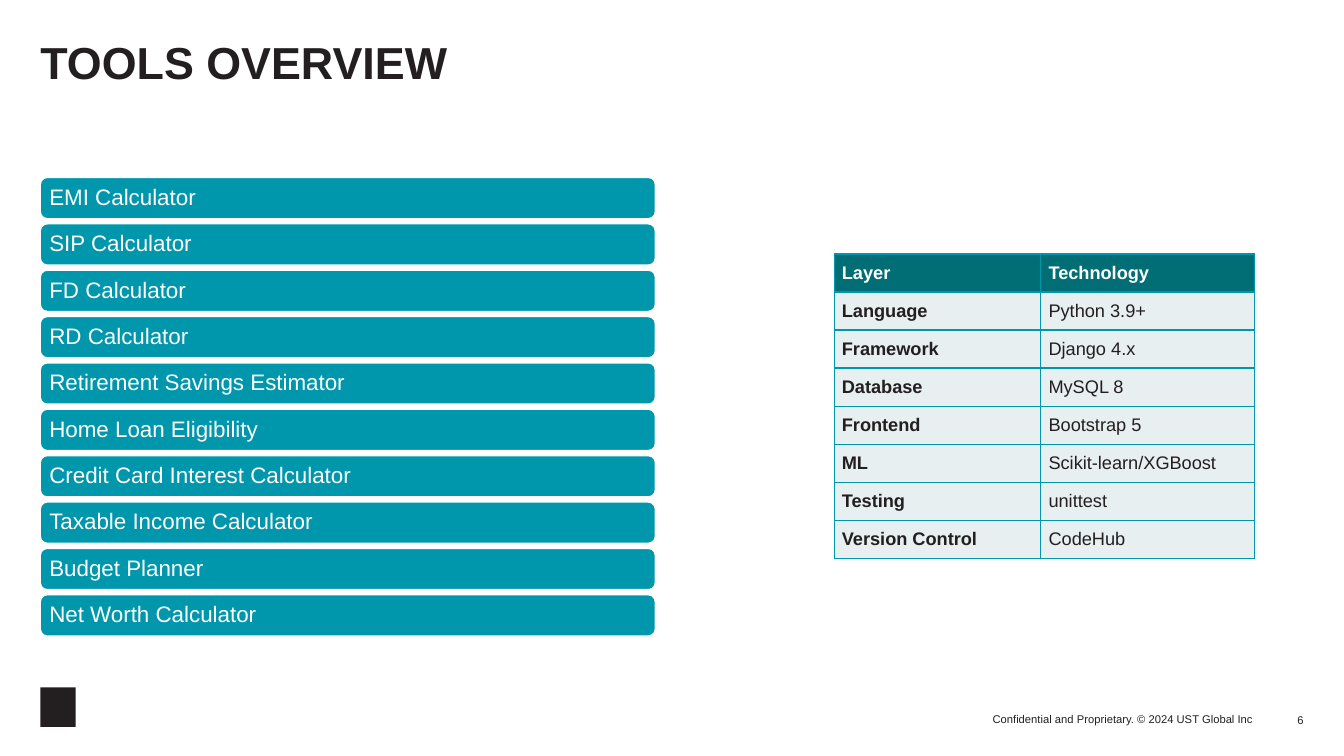
from lxml.etree import SubElement
from pptx import Presentation
from pptx.dml.color import RGBColor
from pptx.enum.shapes import MSO_SHAPE as Shape
from pptx.enum.text import MSO_ANCHOR as Anchor, MSO_AUTO_SIZE as AutoSize, PP_ALIGN as Align
from pptx.oxml.ns import qn
from pptx.util import Inches, Pt

COLORS = {
    "ink": "231F20",
    "white": "FFFFFF",
    "teal": "0097AC",
    "header": "006E74",
    "row": "E7EFF1",
}
LEFT = 0.4
RIGHT = 12.93
BAR_TOP, BAR_STEP, BAR_W, BAR_H = 1.76, 0.46, 6.1, 0.41
TABLE_X, TABLE_Y, TABLE_H = 8.28, 2.52, 3.02
COLUMNS = [2.04, 2.12]

TOOLS = [
    "EMI Calculator",
    "SIP Calculator",
    "FD Calculator",
    "RD Calculator",
    "Retirement Savings Estimator",
    "Home Loan Eligibility",
    "Credit Card Interest Calculator",
    "Taxable Income Calculator",
    "Budget Planner",
    "Net Worth Calculator",
]
STACK = [
    ("Layer", "Technology"),
    ("Language", "Python 3.9+"),
    ("Framework", "Django 4.x"),
    ("Database", "MySQL 8"),
    ("Frontend", "Bootstrap 5"),
    ("ML", "Scikit-learn/XGBoost"),
    ("Testing", "unittest"),
    ("Version Control", "CodeHub"),
]


def rgb(name):
    return RGBColor.from_string(COLORS[name])


def write(tf, text, size, color="ink", bold=False, align=Align.LEFT,
          anchor=Anchor.MIDDLE, insets=(0, 0, 0, 0), spacing=None, wrap=True):
    tf.word_wrap = wrap
    tf.auto_size = AutoSize.NONE
    tf.vertical_anchor = anchor
    tf.margin_left, tf.margin_top, tf.margin_right, tf.margin_bottom = map(Inches, insets)
    p = tf.paragraphs[0]
    p.alignment = align
    p.line_spacing = spacing
    r = p.add_run()
    r.text = text
    r.font.name = "Arial"
    r.font.size = Pt(size)
    r.font.bold = bold
    r.font.color.rgb = rgb(color)


prs = Presentation()
prs.slide_width, prs.slide_height = Inches(13.33), Inches(7.5)
s = prs.slides.add_slide(prs.slide_layouts[5])

title = s.shapes.title
title.left, title.top = Inches(LEFT), Inches(0.4)
title.width, title.height = Inches(RIGHT - LEFT), Inches(1)
write(title.text_frame, "TOOLS OVERVIEW", 32, bold=True, anchor=Anchor.TOP, spacing=0.9)

mark = s.shapes.add_shape(Shape.RECTANGLE, Inches(LEFT), Inches(6.82), Inches(0.35), Inches(0.39))
mark.shadow.inherit = False
mark.fill.solid()
mark.fill.fore_color.rgb = rgb("ink")
mark.line.fill.background()

footers = [
    ("Confidential and Proprietary. © 2024 UST Global Inc", 8.99, 7, 3.44, 0.2, False),
    ("6", 12.43, 6.91, 0.5, 0.3, True),
]
for text, x, y, w, h, wrap in footers:
    sp = s.shapes.add_textbox(Inches(x), Inches(y), Inches(w), Inches(h))
    write(sp.text_frame, text, 8, align=Align.RIGHT, anchor=Anchor.BOTTOM, wrap=wrap)

for i, tool in enumerate(TOOLS):
    sp = s.shapes.add_shape(Shape.ROUNDED_RECTANGLE, Inches(LEFT), Inches(BAR_TOP + i * BAR_STEP),
                            Inches(BAR_W), Inches(BAR_H))
    sp.shadow.inherit = False
    sp.fill.solid()
    sp.fill.fore_color.rgb = rgb("teal")
    sp.line.color.rgb = rgb("white")
    sp.line.width = Pt(1)
    write(sp.text_frame, tool, 16, color="white", insets=(0.07, 0.07, 0.07, 0.07), spacing=0.9)

table = s.shapes.add_table(len(STACK), len(COLUMNS), Inches(TABLE_X), Inches(TABLE_Y),
                           Inches(sum(COLUMNS)), Inches(TABLE_H)).table
for column, width in zip(table.columns, COLUMNS):
    column.width = Inches(width)
for i, row in enumerate(STACK):
    for j, text in enumerate(row):
        cell = table.cell(i, j)
        write(cell.text_frame, text, 13, color="white" if i == 0 else "ink", bold=i == 0 or j == 0)
        cell.vertical_anchor = Anchor.MIDDLE
        cell.margin_left = Inches(0.08 if j else 0.07)
        cell.margin_top = cell.margin_right = cell.margin_bottom = Inches(0.08)
        tcPr = cell._tc.get_or_add_tcPr()
        for side in ("a:lnL", "a:lnR", "a:lnT", "a:lnB"):
            ln = SubElement(tcPr, qn(side), w=str(Pt(1)))
            fill = SubElement(ln, qn("a:solidFill"))
            SubElement(fill, qn("a:srgbClr"), val=COLORS["teal"])
        cell.fill.solid()
        cell.fill.fore_color.rgb = rgb("row" if i else "header")

prs.save("out.pptx")
